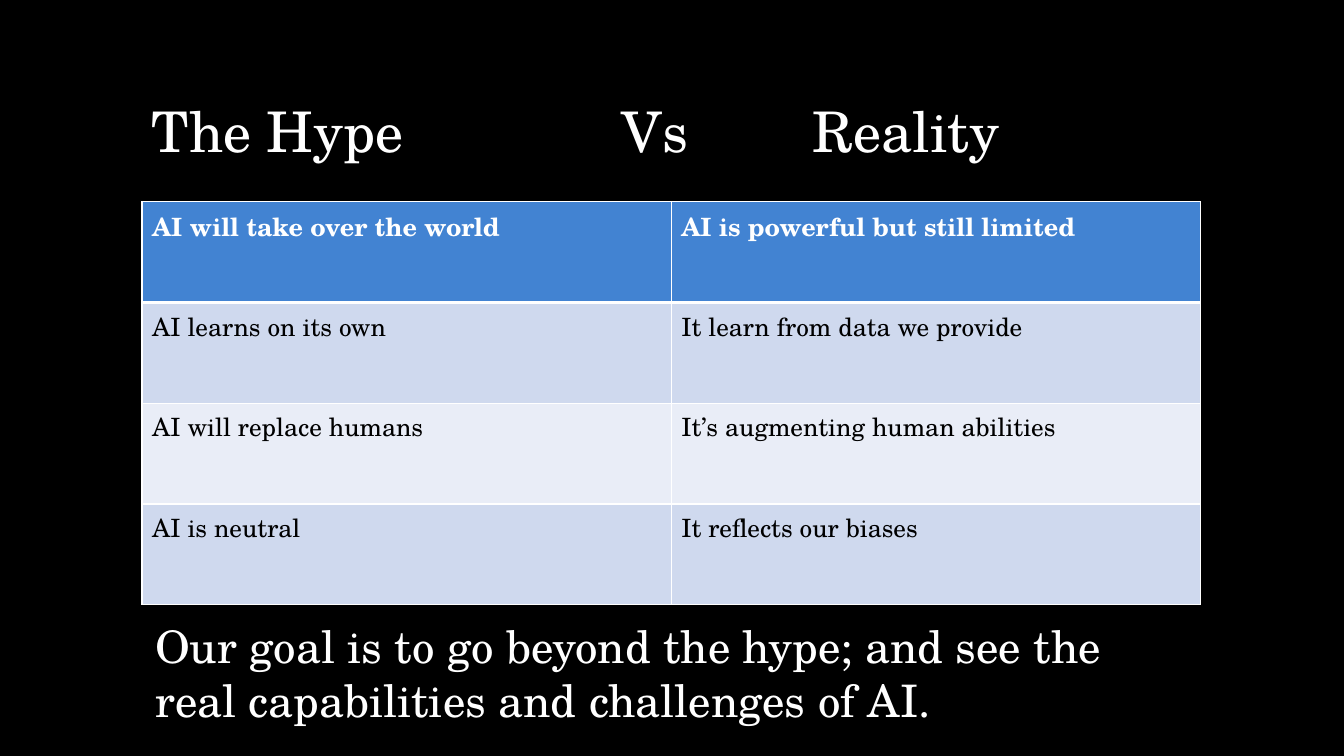
from dataclasses import dataclass

from lxml.etree import SubElement
from pptx import Presentation
from pptx.dml.color import RGBColor as Color
from pptx.enum.text import MSO_ANCHOR as Anchor
from pptx.oxml.ns import qn
from pptx.util import Cm, Pt

FONT = "TeX Gyre Schola"
COLORS = {
    "background": "000000",
    "light": "FFFFFF",
    "dark": "000000",
    "header": "4283D2",
    "odd_row": "CFD9EE",
    "even_row": "E9EDF7",
}
TABLE_LEFT, TABLE_TOP = 3.58, 5.08
COLUMN_WIDTH, ROW_HEIGHT = 13.335, 2.54
BOX_WIDTH, BOX_HEIGHT = 26.67, 3.18


@dataclass
class Caption:
    text: str
    left: float
    top: float
    size: int
    line_spacing: float = 1.0
    tab_stops: tuple[float, ...] = ()


@dataclass
class Claim:
    hype: str
    reality: str


CAPTIONS = [
    Caption("The Hype\tVs\tReality", TABLE_LEFT, 1.07, 40, 0.8, (11.84, 16.64)),
    Caption(
        "Our goal is to go beyond the hype; and see the real capabilities "
        "and challenges of AI.",
        3.66, 15.24, 32,
    ),
]
CLAIMS = [
    Claim("AI will take over the world", "AI is powerful but still limited"),
    Claim("AI learns on its own", "It learn from data we provide"),
    Claim("AI will replace humans", "It’s augmenting human abilities"),
    Claim("AI is neutral", "It reflects our biases"),
]


def color(name: str) -> Color:
    return Color.from_string(COLORS[name])


def write(para, text: str, size: int, color_name: str, bold: bool = False) -> None:
    span = para.add_run()
    span.text = text
    for key, value in {"name": FONT, "size": Pt(size), "bold": bold}.items():
        setattr(span.font, key, value)
    span.font.color.rgb = color(color_name)


def draw_caption(page, caption: Caption) -> None:
    box = page.shapes.add_textbox(
        Cm(caption.left), Cm(caption.top), Cm(BOX_WIDTH), Cm(BOX_HEIGHT)
    )
    frame = box.text_frame
    for key, value in {"word_wrap": True, "vertical_anchor": Anchor.BOTTOM}.items():
        setattr(frame, key, value)
    para = frame.paragraphs[0]
    para.line_spacing = caption.line_spacing
    if caption.tab_stops:
        tabs = SubElement(para._p.get_or_add_pPr(), qn("a:tabLst"))
        for stop in caption.tab_stops:
            SubElement(tabs, qn("a:tab"), pos=str(Cm(stop)), algn="l")
    write(para, caption.text, caption.size, "light")


def draw_borders(cell, widths: dict[str, int]) -> None:
    properties = cell._tc.get_or_add_tcPr()
    for side, width in widths.items():
        line = SubElement(properties, qn(f"a:ln{side}"), w=str(Pt(width)))
        fill = SubElement(line, qn("a:solidFill"))
        SubElement(fill, qn("a:srgbClr"), val=COLORS["light"])


def draw_table(page, claims: list[Claim]) -> None:
    table = page.shapes.add_table(
        len(claims), 2, Cm(TABLE_LEFT), Cm(TABLE_TOP),
        Cm(2 * COLUMN_WIDTH), Cm(len(claims) * ROW_HEIGHT),
    ).table
    for index, claim in enumerate(claims):
        is_header = index == 0
        fill_name = "header" if is_header else "odd_row" if index % 2 else "even_row"
        widths = {
            "L": 1,
            "R": 1,
            "T": 3 if index == 1 else 1,
            "B": 3 if is_header else 1,
        }
        for column, text in enumerate((claim.hype, claim.reality)):
            cell = table.cell(index, column)
            # Borders come before the fill in the cell properties
            draw_borders(cell, widths)
            cell.fill.solid()
            cell.fill.fore_color.rgb = color(fill_name)
            write(cell.text_frame.paragraphs[0], text, 18,
                  "light" if is_header else "dark", is_header)


def main() -> None:
    deck = Presentation()
    deck.slide_width, deck.slide_height = Cm(33.87), Cm(19.05)
    page = deck.slides.add_slide(deck.slide_layouts[6])

    # Background
    page.background.fill.solid()
    page.background.fill.fore_color.rgb = color("background")

    # Heading, comparison and closing statement
    heading, closing = CAPTIONS
    draw_caption(page, heading)
    draw_table(page, CLAIMS)
    draw_caption(page, closing)

    deck.save("out.pptx")


if __name__ == "__main__":
    main()
